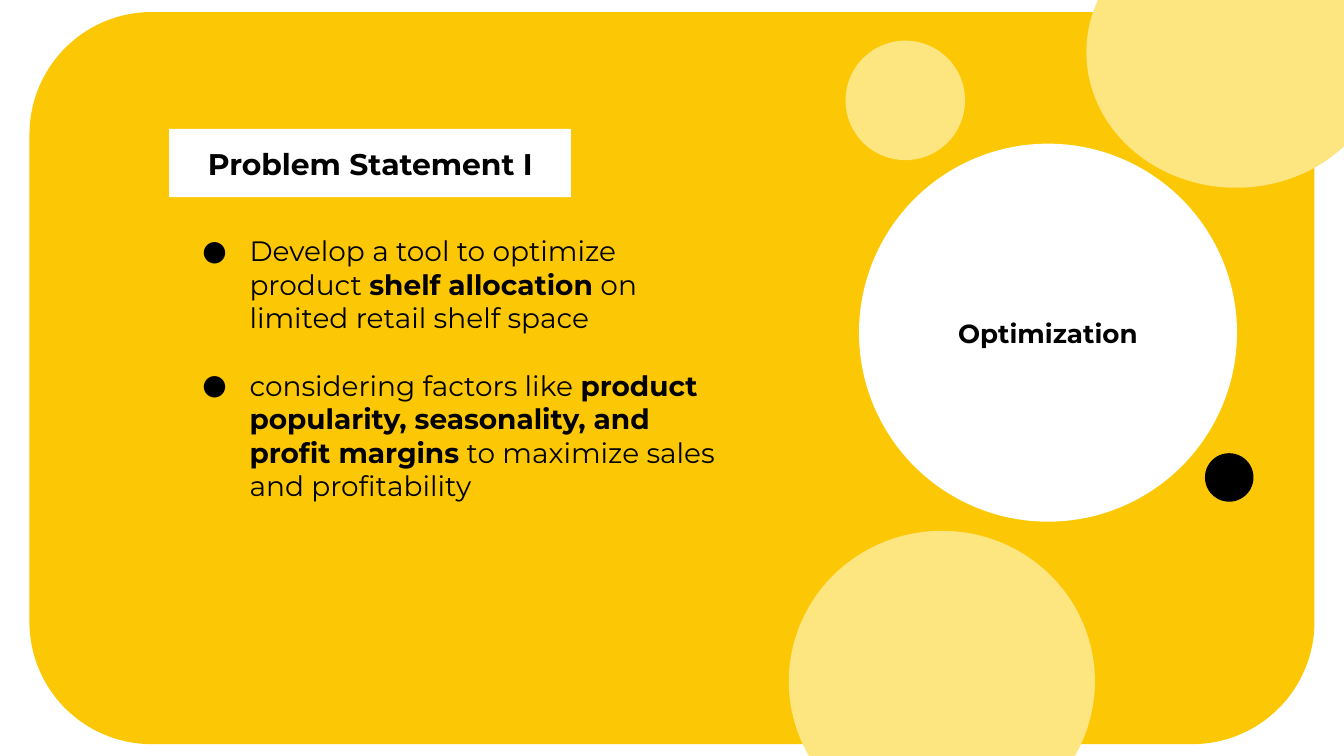
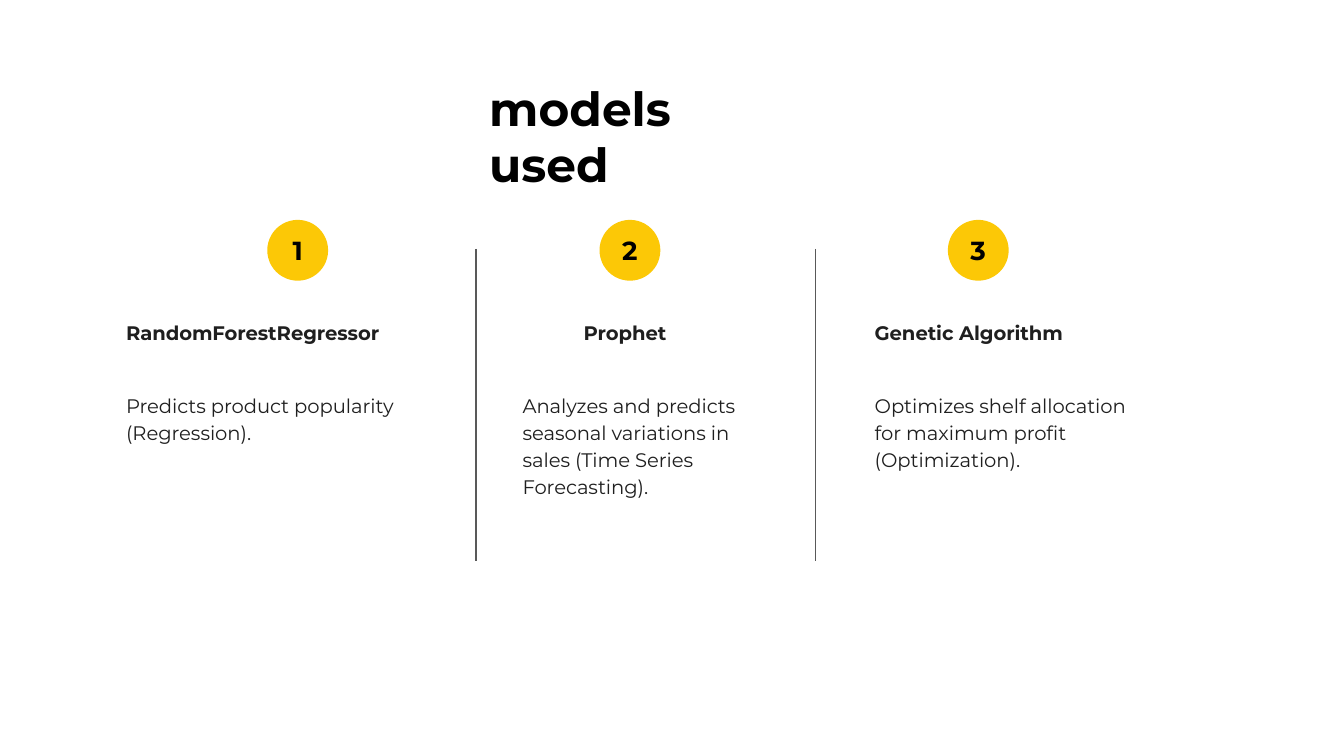
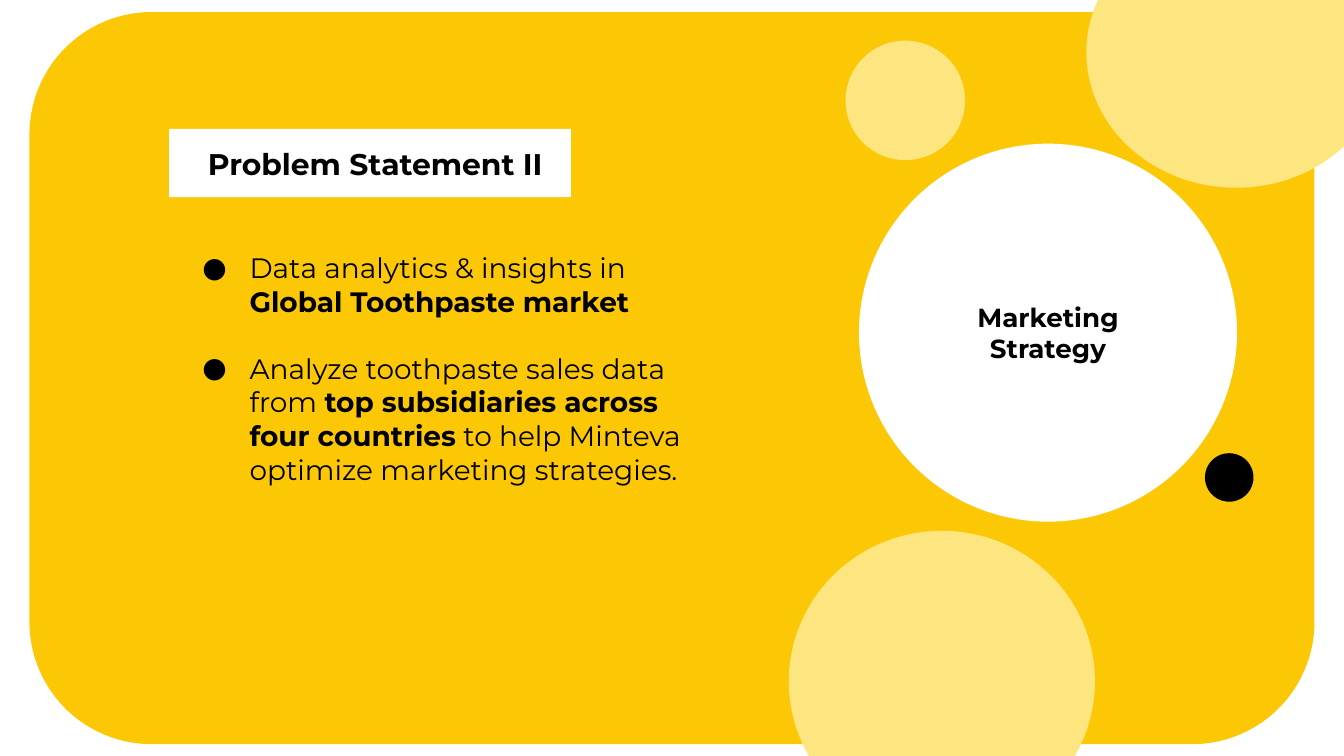
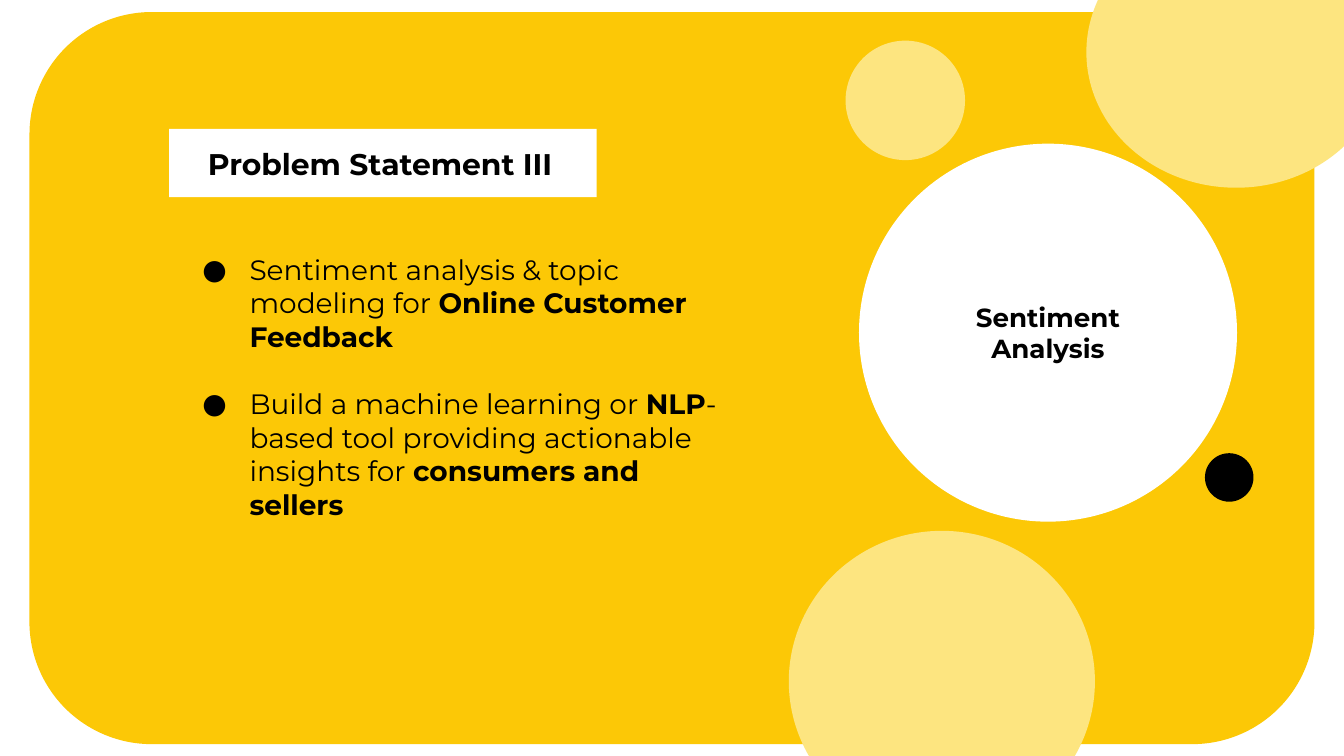
"""Build four slides: three problem statements and the models used."""
from dataclasses import dataclass

from lxml import etree
from pptx import Presentation
from pptx.dml.color import RGBColor
from pptx.enum.shapes import MSO_CONNECTOR, MSO_SHAPE
from pptx.enum.text import MSO_ANCHOR, PP_ALIGN
from pptx.oxml.ns import qn
from pptx.shapes.autoshape import Shape
from pptx.slide import Slide
from pptx.text.text import TextFrame
from pptx.util import Pt

DISC = MSO_SHAPE.FLOWCHART_CONNECTOR
ROUND = MSO_SHAPE.ROUNDED_RECTANGLE
RECT = MSO_SHAPE.RECTANGLE
STRAIGHT = MSO_CONNECTOR.STRAIGHT
TOP, MIDDLE = MSO_ANCHOR.TOP, MSO_ANCHOR.MIDDLE
LEFT, CENTER = PP_ALIGN.LEFT, PP_ALIGN.CENTER

FONT = "Montserrat"
GOLD, PALE, WHITE, BLACK = "FCC806", "FDE580", "FFFFFF", "000000"
INK, GREY = "1F1F1F", "595959"


@dataclass(frozen=True)
class Box:
    """A place on the slide, in points."""
    left: float
    top: float
    width: float
    height: float


@dataclass(frozen=True)
class Run:
    """A piece of text in one weight."""
    text: str
    bold: bool = False


@dataclass(frozen=True)
class Para:
    """A paragraph with its spacing and indent, in points."""
    runs: tuple[Run, ...]
    before: float = 0
    margin: float = 0
    bullet: bool = False
    spacing: float = 1


@dataclass(frozen=True)
class Style:
    """Text size, colour and placing."""
    size: float
    color: str = BLACK
    align: PP_ALIGN = LEFT
    anchor: MSO_ANCHOR = TOP


@dataclass(frozen=True)
class Problem:
    """One problem statement slide."""
    title: str
    topic: str
    points: tuple[tuple[Run, ...], ...]
    top: float
    label: float = 215.3


@dataclass(frozen=True)
class Model:
    """One column of the models slide."""
    name: str
    about: str
    left: float
    width: float
    disc: float
    indent: float = 0


CARD = Box(15.8, 6.5, 688.4, 392.2)
BUBBLES = (
    (Box(453, 21.8, 64, 64), PALE),
    (Box(582, -44.6, 160.5, 145.2), PALE),
    (Box(422.6, 284.4, 164, 161.3), PALE),
    (Box(645.5, 242.8, 26, 26), BLACK),
)
HUB = Box(460.2, 77, 202.5, 202.5)
EDGE = 90.6
HEAD = Style(16)
BODY = Style(15)
BADGE = Style(14, BLACK, CENTER, MIDDLE)
TITLE = Style(25.2)
NOTE = Style(10.5, INK)

FIRST = Problem(
    "Problem Statement I", "Optimization",
    ((Run("Develop a tool to optimize product "),
      Run("shelf allocation", True),
      Run(" on limited retail shelf space")),
     (Run("considering factors like "),
      Run("product popularity, seasonality, and profit margins", True),
      Run(" to maximize sales and profitability"))),
    118)
SECOND = Problem(
    "Problem Statement II", "Marketing\nStrategy",
    ((Run("Data analytics & insights in "),
      Run("Global Toothpaste market", True)),
     (Run("Analyze toothpaste sales data from "),
      Run("top subsidiaries across four countries", True),
      Run(" to help Minteva optimize marketing strategies."))),
    127)
THIRD = Problem(
    "Problem Statement III", "Sentiment Analysis",
    ((Run("Sentiment analysis & topic modeling for "),
      Run("Online Customer Feedback", True)),
     (Run("Build a machine learning or "),
      Run("NLP", True),
      Run("-based tool providing actionable insights for "),
      Run("consumers and sellers", True))),
    128, 229)

MODELS = (
    Model("RandomForestRegressor",
          "Predicts product popularity (Regression).", 60.5, 170.6, 143.2),
    Model("Prophet",
          "Analyzes and predicts seasonal variations in sales "
          "(Time Series Forecasting).", 272.9, 146.9, 321.2, 32.7),
    Model("Genetic Algorithm",
          "Optimizes shelf allocation for maximum profit (Optimization).",
          461.5, 164.2, 507.8),
)
RULES = (255, 437)


def paint(code: str) -> RGBColor:
    """Turn a hex string into a colour."""
    return RGBColor.from_string(code)


def add_dot(props: etree._Element) -> None:
    """Give a paragraph a round black bullet."""
    color = etree.SubElement(props, qn("a:buClr"))
    etree.SubElement(color, qn("a:srgbClr"), val=BLACK)
    etree.SubElement(props, qn("a:buFont"), typeface=FONT)
    etree.SubElement(props, qn("a:buChar"), char="●")


def write(frame: TextFrame, paras: tuple[Para, ...], style: Style) -> None:
    """Fill a text frame run by run."""
    frame.word_wrap = True
    frame.vertical_anchor = style.anchor
    frame.margin_left = frame.margin_right = Pt(7.2)
    frame.margin_top = frame.margin_bottom = Pt(7.2)
    for index, para in enumerate(paras):
        line = frame.add_paragraph() if index else frame.paragraphs[0]
        props = line._p.get_or_add_pPr()
        props.set("marL", str(Pt(para.margin)))
        if para.bullet:
            props.set("indent", str(Pt(-25.2)))
            add_dot(props)
        line.alignment = style.align
        line.line_spacing = para.spacing
        if para.before:
            line.space_before = Pt(para.before)
        for part in para.runs:
            for count, text in enumerate(part.text.split("\n")):
                if count:
                    line.add_line_break()
                run = line.add_run()
                run.text = text
                run.font.name = FONT
                run.font.size = Pt(style.size)
                run.font.bold = part.bold
                run.font.color.rgb = paint(style.color)


def add_form(slide: Slide, kind: MSO_SHAPE, box: Box, fill: str) -> Shape:
    """Draw a flat shape with no outline."""
    form = slide.shapes.add_shape(
        kind, Pt(box.left), Pt(box.top), Pt(box.width), Pt(box.height))
    form.shadow.inherit = False
    form.fill.solid()
    form.fill.fore_color.rgb = paint(fill)
    form.line.fill.background()
    return form


def add_badge(slide: Slide, box: Box, fill: str, text: str) -> None:
    """Draw a disc with bold centred text."""
    disc = add_form(slide, DISC, box, fill)
    write(disc.text_frame, (Para((Run(text, True),)),), BADGE)


def add_text(slide: Slide, box: Box, paras: tuple[Para, ...],
             style: Style) -> None:
    """Add a text box."""
    area = slide.shapes.add_textbox(
        Pt(box.left), Pt(box.top), Pt(box.width), Pt(box.height))
    write(area.text_frame, paras, style)


def add_rule(slide: Slide, left: float) -> None:
    """Draw an upright line between columns."""
    rule = slide.shapes.add_connector(
        STRAIGHT, Pt(left), Pt(133.3), Pt(left), Pt(300.8))
    rule.line.color.rgb = paint(GREY)
    rule.line.width = Pt(0.75)
    etree.SubElement(rule._element.spPr, qn("a:effectLst"))


def draw_problem(slide: Slide, item: Problem) -> None:
    """Draw a problem statement slide."""
    card = add_form(slide, ROUND, CARD, GOLD)
    card.adjustments[0] = 0.167
    for box, fill in BUBBLES:
        add_form(slide, DISC, box, fill)
    add_badge(slide, HUB, WHITE, item.topic)
    points = tuple(
        Para(runs, before=18 if index else 0, margin=36, bullet=True)
        for index, runs in enumerate(item.points))
    add_text(slide, Box(EDGE, item.top, 303, 160), points, BODY)
    add_form(slide, RECT, Box(EDGE, 69, item.label, 36.6), WHITE)
    add_text(slide, Box(104.3, 70.6, 215.3, 33.8),
             (Para((Run(item.title, True),)),), HEAD)


def draw_models(slide: Slide) -> None:
    """Draw the slide of models in three columns."""
    add_text(slide, Box(255, 35.3, 180, 45.4),
             (Para((Run("models used", True),)),), TITLE)
    for left in RULES:
        add_rule(slide, left)
    for number, item in enumerate(MODELS, 1):
        add_badge(slide, Box(item.disc, 117.8, 32.6, 32.6), GOLD, str(number))
        paras = (
            Para((Run(item.name, True),), margin=item.indent, spacing=1.15),
            Para((Run(item.about),), before=24.6, spacing=1.15))
        add_text(slide, Box(item.left, 162.7, item.width, 110), paras, NOTE)


def main() -> None:
    """Build and save the deck."""
    deck = Presentation()
    deck.slide_width, deck.slide_height = Pt(720), Pt(405)
    blank = deck.slide_layouts[6]
    draw_problem(deck.slides.add_slide(blank), FIRST)
    draw_models(deck.slides.add_slide(blank))
    for item in (SECOND, THIRD):
        draw_problem(deck.slides.add_slide(blank), item)
    deck.save("out.pptx")


if __name__ == "__main__":
    main()
